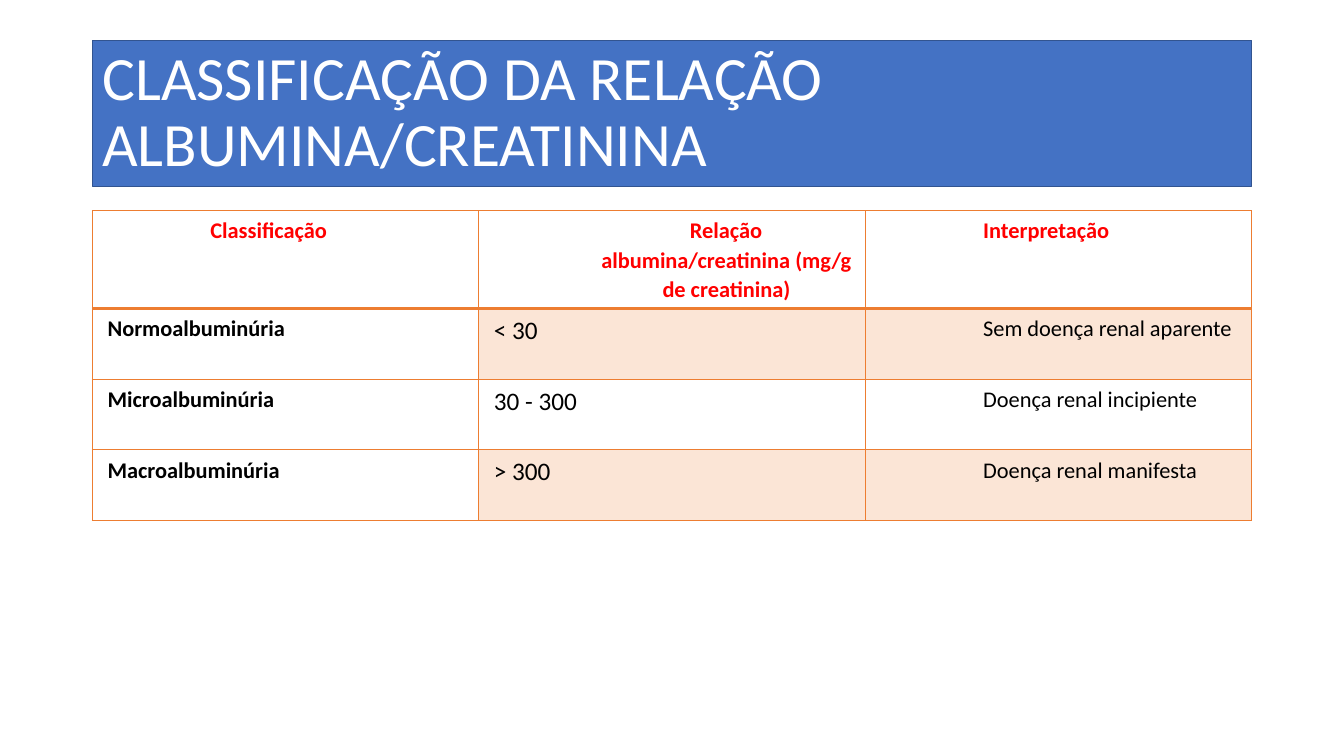
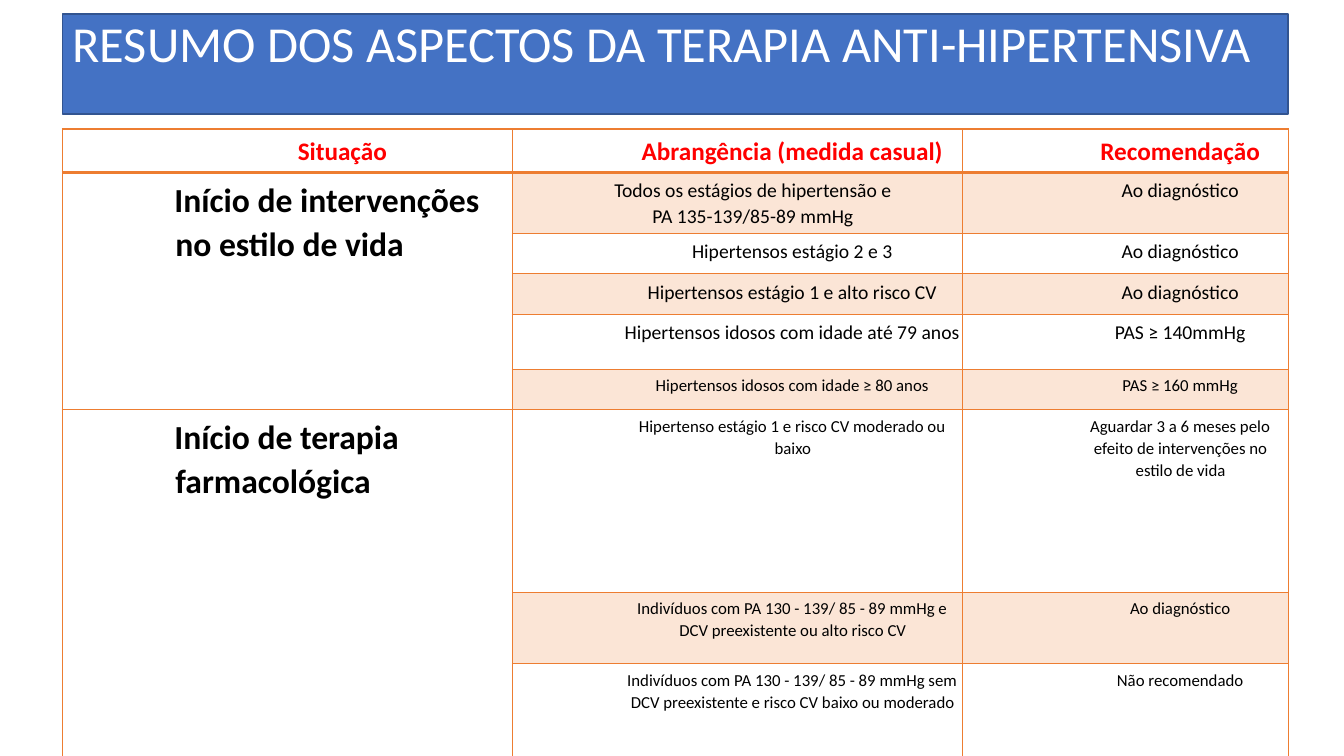
from dataclasses import dataclass, replace

from lxml.etree import SubElement
from pptx import Presentation
from pptx.dml.color import RGBColor
from pptx.enum.shapes import MSO_SHAPE as Preset
from pptx.enum.text import MSO_ANCHOR as Anchor, PP_ALIGN as Align
from pptx.oxml import parse_xml
from pptx.oxml.ns import nsdecls, qn
from pptx.util import Inches, Pt

SLIDE_WIDTH, SLIDE_HEIGHT = Inches(13.33), Inches(7.5)
FONT = "Calibri"
BLUE, NAVY, WHITE = "4472C4", "325490", "FFFFFF"
ORANGE, PEACH, RED, BLACK = "ED7D31", "FBE5D6", "FF0000", "000000"
THIN, THICK = 0.96, 1.98


@dataclass(frozen=True)
class Box:
    """Position and size in percent of the slide."""
    left: float
    top: float
    width: float
    height: float

    def lengths(self):
        return (int(SLIDE_WIDTH * self.left / 100), int(SLIDE_HEIGHT * self.top / 100),
                int(SLIDE_WIDTH * self.width / 100), int(SLIDE_HEIGHT * self.height / 100))


@dataclass(frozen=True)
class CellStyle:
    size: int
    bold: bool = False
    color: str = BLACK
    align: Align = Align.LEFT
    indent: float = 1.08


def rgb(value):
    return RGBColor.from_string(value)


def format_paragraph(paragraph, size, color, bold, spacing):
    paragraph.line_spacing = spacing
    for run in paragraph.runs:
        run.font.name = FONT
        run.font.size = Pt(size)
        run.font.bold = bold
        run.font.color.rgb = rgb(color)


def add_title_band(slide, box, text, size, anchor):
    band = slide.shapes.add_shape(Preset.RECTANGLE, *box.lengths())
    band.shadow.inherit = False
    band.fill.solid()
    band.fill.fore_color.rgb = rgb(BLUE)
    band.line.color.rgb = rgb(NAVY)
    band.line.width = Pt(1)
    text_frame = band.text_frame
    text_frame.word_wrap = True
    text_frame.vertical_anchor = anchor
    text_frame.text = text
    paragraph = text_frame.paragraphs[0]
    paragraph.alignment = Align.LEFT
    format_paragraph(paragraph, size, WHITE, False, 0.9)


def set_borders(cell, top, bottom):
    properties = cell._tc.get_or_add_tcPr()
    sides = {"lnL": THIN, "lnR": THIN, "lnT": top, "lnB": bottom}
    for position, (side, width) in enumerate(sides.items()):
        line = parse_xml(f'<a:{side} {nsdecls("a")} w="{Pt(width)}"/>')
        fill = SubElement(line, qn("a:solidFill"))
        SubElement(fill, qn("a:srgbClr"), val=ORANGE)
        properties.insert(position, line)


def fill_cell(cell, text, style):
    cell.text_frame.text = text
    for paragraph in cell.text_frame.paragraphs:
        properties = paragraph._p.get_or_add_pPr()
        properties.set("marL", str(Inches(style.indent)))
        properties.set("indent", str(Inches(-0.01)))
        paragraph.alignment = style.align
        format_paragraph(paragraph, style.size, style.color, style.bold, 1.07)


def add_banded_table(slide, box, columns, rows, cells, spans=(), margins=None):
    left, top, width, height = box.lengths()
    table = slide.shapes.add_table(len(rows), len(columns), left, top, width, height).table
    table.first_row = table.horz_banding = False
    for column, share in zip(table.columns, columns):
        column.width = int(width * share / sum(columns))
    for row, share in zip(table.rows, rows):
        row.height = int(height * share / sum(rows))
    for row_index in range(len(rows)):
        for column_index in range(len(columns)):
            cell = table.cell(row_index, column_index)
            if margins:
                cell.margin_left, cell.margin_right = map(Inches, margins)
            if row_index % 2 and column_index:
                cell.fill.solid()
                cell.fill.fore_color.rgb = rgb(PEACH)
            else:
                cell.fill.background()
            set_borders(cell, THICK if row_index == 1 else THIN,
                        THICK if row_index == 0 else THIN)
            if cells[row_index][column_index]:
                fill_cell(cell, *cells[row_index][column_index])
    for first, last in spans:
        table.cell(first, 0).merge(table.cell(last, 0))


def add_classification_slide(slide):
    add_title_band(slide, Box(6.88, 5.33, 86.25, 19.33),
                   "CLASSIFICAÇÃO DA RELAÇÃO ALBUMINA/CREATININA", 44, Anchor.MIDDLE)
    heading = CellStyle(16, True, RED)
    label = CellStyle(16, True, indent=0.06)
    ratio = CellStyle(18, indent=0.06)
    meaning = CellStyle(16)
    classes = [
        ("Normoalbuminúria", "< 30", "Sem doença renal aparente"),
        ("Microalbuminúria", "30 - 300", "Doença renal incipiente"),
        ("Macroalbuminúria", "> 300", "Doença renal manifesta"),
    ]
    cells = [[("Classificação", heading),
              ("Relação albumina/creatinina (mg/g de creatinina)",
               replace(heading, align=Align.CENTER)),
              ("Interpretação", heading)]]
    cells += [list(zip(texts, (label, ratio, meaning))) for texts in classes]
    add_banded_table(slide, Box(6.88, 27.87, 86.25, 40.93),
                     (1, 1, 1), (0.97, 0.7, 0.7, 0.7), cells)


def add_therapy_slide(slide):
    add_title_band(slide, Box(4.65, 1.87, 91.2, 13.2),
                   "RESUMO DOS ASPECTOS DA TERAPIA ANTI-HIPERTENSIVA", 36, Anchor.TOP)
    heading = CellStyle(18, True, RED, Align.CENTER)
    situation = CellStyle(24, True)
    regular = CellStyle(14, align=Align.CENTER)
    small = replace(regular, size=12)
    scopes = [
        ("Todos os estágios de hipertensão e\nPA 135-139/85-89 mmHg",
         replace(regular, indent=0.3), "Ao diagnóstico", regular),
        ("Hipertensos estágio 2 e 3", regular, "Ao diagnóstico", regular),
        ("Hipertensos estágio 1 e alto risco CV", regular, "Ao diagnóstico", regular),
        ("Hipertensos idosos com idade até 79 anos", regular, "PAS ≥ 140mmHg", regular),
        ("Hipertensos idosos com idade ≥ 80 anos", small, "PAS ≥ 160 mmHg", small),
        ("Hipertenso estágio 1 e risco CV moderado ou baixo", small,
         "Aguardar 3 a 6 meses pelo efeito de intervenções no estilo de vida", small),
        ("Indivíduos com PA 130 - 139/ 85 - 89 mmHg e DCV preexistente ou alto risco CV",
         small, "Ao diagnóstico", small),
        ("Indivíduos com PA 130 - 139/ 85 - 89 mmHg sem DCV preexistente e risco CV "
         "baixo ou moderado", small, "Não recomendado", small),
    ]
    situations = {1: "Início de intervenções no estilo de vida",
                  6: "Início de terapia farmacológica"}
    cells = [[(text, heading) for text in
              ("Situação", "Abrangência (medida casual)", "Recomendação")]]
    for row, (scope, scope_style, advice, advice_style) in enumerate(scopes, 1):
        first = (situations[row], situation) if row in situations else None
        cells.append([first, (scope, scope_style), (advice, advice_style)])
    add_banded_table(slide, Box(4.65, 17.07, 91.2, 82.93), (4.46, 4.46, 3.23),
                     (0.43, 0.6, 0.4, 0.4, 0.55, 0.4, 1.81, 0.71, 0.92),
                     cells, spans=((1, 5), (6, 8)), margins=(0.04, 0.02))


def main():
    presentation = Presentation()
    presentation.slide_width, presentation.slide_height = SLIDE_WIDTH, SLIDE_HEIGHT
    for build in (add_classification_slide, add_therapy_slide):
        build(presentation.slides.add_slide(presentation.slide_layouts[6]))
    presentation.save("out.pptx")


if __name__ == "__main__":
    main()
